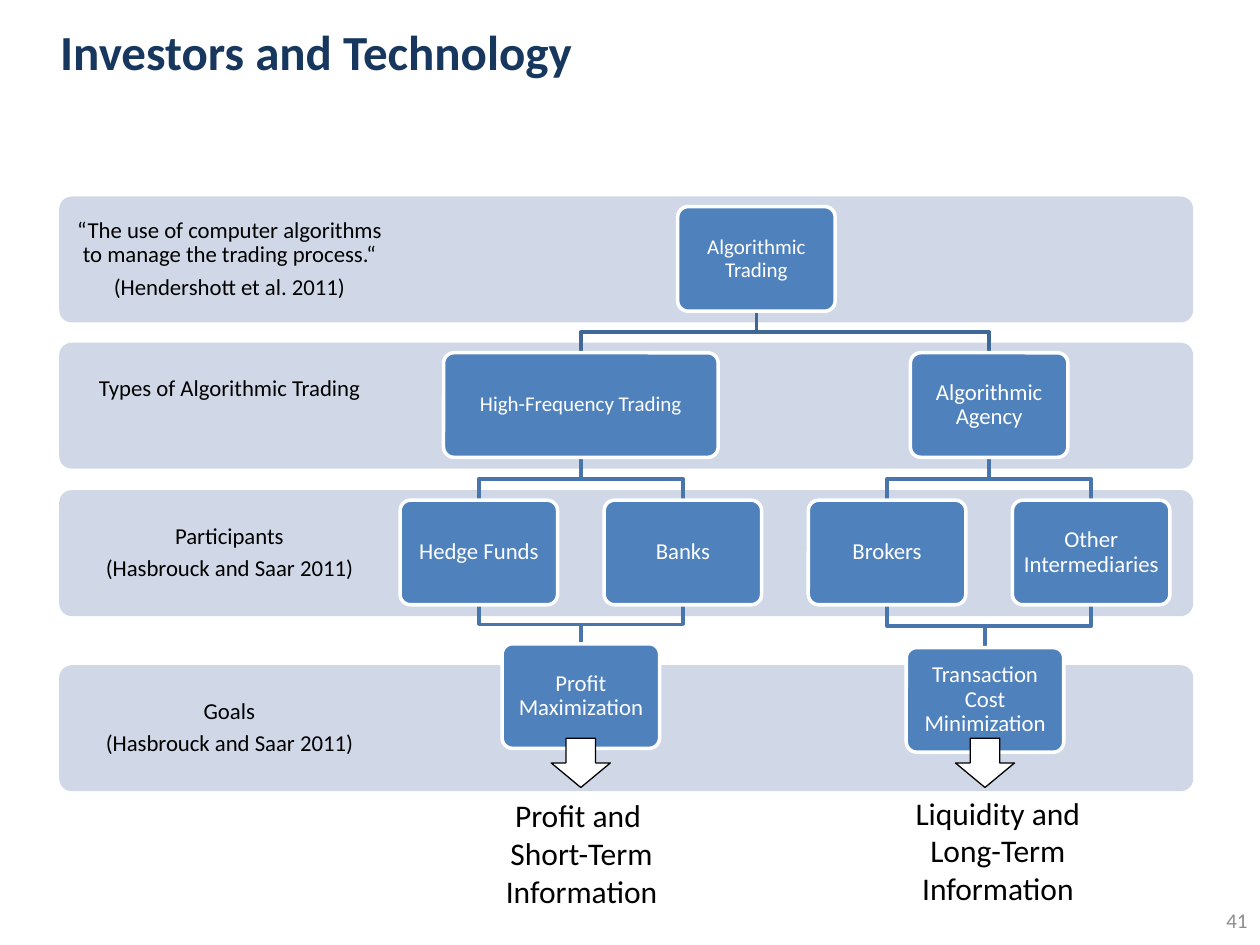
from pptx import Presentation
from pptx.dml.color import RGBColor
from pptx.enum.shapes import MSO_SHAPE
from pptx.enum.text import MSO_ANCHOR, PP_ALIGN
from pptx.util import Inches, Pt

BAND_LEFT, BAND_WIDTH, BAND_HEIGHT, LABEL_WIDTH = 0.47, 9, 1, 2.7
FIRST_COLUMN, COLUMN_STEP = 3.8, 1.62
NODE_WIDTH, NODE_HEIGHT, NODE_OFFSET = 1.25, 0.83, 0.08

# Band top, label paragraphs, bottom inset of the label
BANDS = [
    (1.56, ["“The use of computer algorithms to manage the trading process.“",
            "(Hendershott et al. 2011)"], 0.1),
    (2.72, ["Types of Algorithmic Trading"], 0.36),
    (3.89, ["Participants", "(Hasbrouck and Saar 2011)"], 0.1),
    (5.28, ["Goals", "(Hasbrouck and Saar 2011)"], 0.1),
]
ROW_TOPS = [top + NODE_OFFSET for top, _, _ in BANDS[:3]]
PROFIT_TOP, COST_TOP = 5.11, 5.14

# Key: text, column, top, width, text size
NODES = {
    "algo": ("Algorithmic Trading", 1.36, ROW_TOPS[0], NODE_WIDTH, 12),
    "hft": ("High-Frequency Trading", 0.5, ROW_TOPS[1], 2.18, 12),
    "agency": ("Algorithmic Agency", 2.5, ROW_TOPS[1], NODE_WIDTH, 13),
    "hedge": ("Hedge Funds", 0, ROW_TOPS[2], NODE_WIDTH, 13),
    "banks": ("Banks", 1, ROW_TOPS[2], NODE_WIDTH, 13),
    "brokers": ("Brokers", 2, ROW_TOPS[2], NODE_WIDTH, 13),
    "others": ("Other Intermediaries", 3, ROW_TOPS[2], NODE_WIDTH, 13),
    "profit": ("Profit Maximization", 0.5, PROFIT_TOP, NODE_WIDTH, 13),
    "cost": ("Transaction Cost Minimization", 2.48, COST_TOP, NODE_WIDTH, 13),
}
TOP_LINKS = [("algo", "hft"), ("algo", "agency")]
LOWER_LINKS = [
    ("hft", "hedge"), ("hft", "banks"), ("agency", "brokers"), ("agency", "others"),
    ("hedge", "profit"), ("banks", "profit"), ("brokers", "cost"), ("others", "cost"),
]
# Column of the arrow, box (left, top, width), paragraphs
OUTCOMES = [
    (0.5, (3.44, 6.27, 2.35), ["Profit and ", "Short-Term Information"]),
    (2.48, (6.77, 6.25, 2.3), ["Liquidity and", "Long-Term Information"]),
]


def color(hex_code):
    return RGBColor.from_string(hex_code)


def column_center(column):
    return FIRST_COLUMN + COLUMN_STEP * column


def write(shape, paragraphs, size, hex_code="000000", bold=False,
          align=PP_ALIGN.CENTER, anchor=MSO_ANCHOR.MIDDLE, insets=None, **spacing):
    """Fill a shape with paragraphs; insets run left, top, right, bottom."""
    frame = shape.text_frame
    frame.word_wrap = True
    frame.vertical_anchor = anchor
    for side, inset in zip(("left", "top", "right", "bottom"), insets or ()):
        setattr(frame, f"margin_{side}", Inches(inset))
    font_format = {"name": "Calibri", "size": Pt(size), "bold": bold}
    for index, text in enumerate(paragraphs):
        paragraph = frame.paragraphs[0] if index == 0 else frame.add_paragraph()
        for key, value in {"alignment": align, **spacing}.items():
            setattr(paragraph, key, value)
        if index:
            paragraph.space_before = Pt(4.5) if spacing else Pt(0)
        run = paragraph.add_run()
        run.text = text
        for key, value in font_format.items():
            setattr(run.font, key, value)
        run.font.color.rgb = color(hex_code)


def add_text(slide, box, paragraphs, size, **options):
    write(slide.shapes.add_textbox(*map(Inches, box)), paragraphs, size, **options)


def add_figure(slide, preset, box, fill, line=None, line_width=0):
    figure = slide.shapes.add_shape(preset, *map(Inches, box))
    figure.shadow.inherit = False
    figure.fill.solid()
    figure.fill.fore_color.rgb = color(fill)
    if line:
        figure.line.color.rgb = color(line)
        figure.line.width = Pt(line_width)
    else:
        figure.line.fill.background()
    if preset == MSO_SHAPE.ROUNDED_RECTANGLE:
        figure.adjustments[0] = 0.1
    return figure


def add_band(slide, top, label, bottom_inset):
    add_figure(slide, MSO_SHAPE.ROUNDED_RECTANGLE,
               (BAND_LEFT, top, BAND_WIDTH, BAND_HEIGHT), "D0D8E8")
    add_text(slide, (BAND_LEFT, top, LABEL_WIDTH, BAND_HEIGHT), label, 13,
             insets=(0.1, 0.1, 0.1, bottom_inset), line_spacing=0.9)


def add_link(slide, upper, lower, hex_code):
    """Draw a stepped line from the foot of one node to the head of another."""
    _, upper_column, upper_top, _, _ = NODES[upper]
    _, lower_column, end_y, _, _ = NODES[lower]
    start_x, end_x = column_center(upper_column), column_center(lower_column)
    start_y = upper_top + NODE_HEIGHT
    middle_y = (start_y + end_y) / 2
    builder = slide.shapes.build_freeform(Inches(start_x), Inches(start_y))
    corners = [(start_x, middle_y), (end_x, middle_y), (end_x, end_y)]
    builder.add_line_segments([(Inches(x), Inches(y)) for x, y in corners], close=False)
    link = builder.convert_to_shape()
    link.shadow.inherit = False
    link.fill.background()
    link.line.color.rgb = color(hex_code)
    link.line.width = Pt(2)


def add_node(slide, text, column, top, width, size):
    box = (column_center(column) - width / 2, top, width, NODE_HEIGHT)
    node = add_figure(slide, MSO_SHAPE.ROUNDED_RECTANGLE, box, "4F81BD", "FFFFFF", 2)
    write(node, [text], size, "FFFFFF", insets=(0.05,) * 4, line_spacing=0.9)


def add_outcome(slide, column, place, paragraphs):
    width, height = 0.47, 0.39
    add_figure(slide, MSO_SHAPE.DOWN_ARROW,
               (column_center(column) - width / 2, 5.86, width, height),
               "FFFFFF", "000000", 0.75)
    add_text(slide, (*place, 0.64), paragraphs, 18, anchor=MSO_ANCHOR.TOP)


def main():
    presentation = Presentation()
    presentation.slide_width, presentation.slide_height = Inches(10), Inches(7.5)
    slide = presentation.slides.add_slide(presentation.slide_layouts[6])

    add_text(slide, (0.38, 0.05, 8.2, 0.71), ["Investors and Technology"], 28,
             hex_code="17375E", bold=True, align=PP_ALIGN.LEFT)
    for band in BANDS:
        add_band(slide, *band)
    for links, hex_code in ((TOP_LINKS, "3F6797"), (LOWER_LINKS, "4875AC")):
        for upper, lower in links:
            add_link(slide, upper, lower, hex_code)
    for node in NODES.values():
        add_node(slide, *node)
    for outcome in OUTCOMES:
        add_outcome(slide, *outcome)
    add_text(slide, (9.43, 7.1, 0.57, 0.4), ["41"], 12,
             hex_code="8C8C8C", align=PP_ALIGN.RIGHT)
    presentation.save("out.pptx")


if __name__ == "__main__":
    main()
